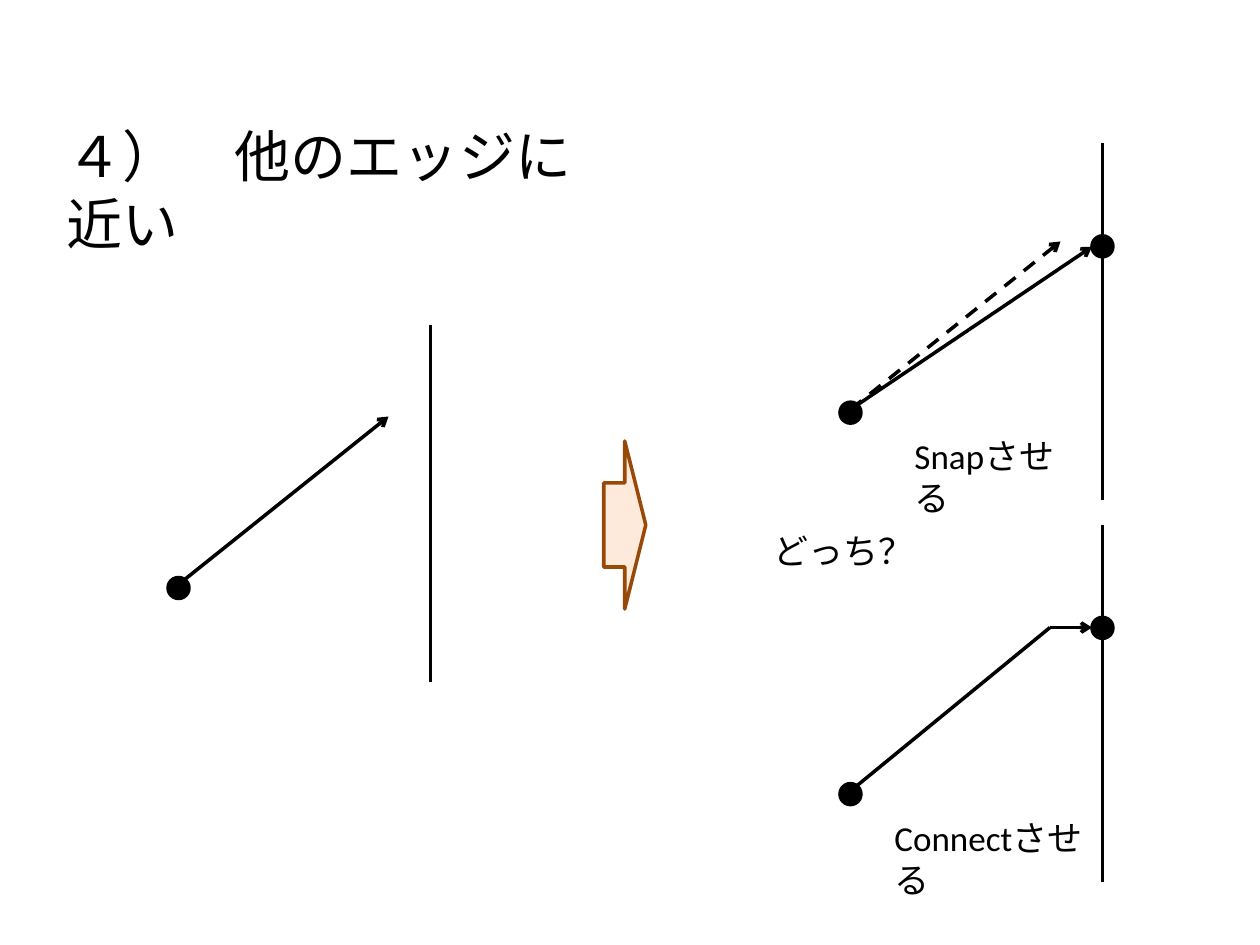
from lxml import etree
from pptx import Presentation
from pptx.dml.color import RGBColor
from pptx.enum.dml import MSO_LINE
from pptx.enum.shapes import MSO_CONNECTOR, MSO_SHAPE
from pptx.enum.text import MSO_ANCHOR, MSO_AUTO_SIZE, PP_ALIGN
from pptx.oxml.ns import qn
from pptx.util import Pt

BLACK = RGBColor(0x00, 0x00, 0x00)
PEACH = RGBColor(0xFD, 0xEA, 0xDA)
BROWN = RGBColor(0x98, 0x48, 0x07)
OVAL = MSO_SHAPE.OVAL
ARROW = MSO_SHAPE.RIGHT_ARROW
DASH = MSO_LINE.DASH
STRAIGHT = MSO_CONNECTOR.STRAIGHT
TOP = MSO_ANCHOR.TOP
FIXED = MSO_AUTO_SIZE.NONE
LEFT = PP_ALIGN.LEFT

FONT = "Calibri"
STROKE = 2
DOT = 12
EDGE = 204  # length of each upright edge
STEP = 218  # drop from the snap case to the connect case


class Board:
    """Holds the style and the current slide."""

    def __init__(self, slide):
        self.shapes = slide.shapes

    def letter(self, shape, text, size):
        """Put styled text into a shape."""
        frame = shape.text_frame
        frame.text = text
        frame.word_wrap = True
        frame.auto_size = FIXED
        frame.vertical_anchor = TOP
        para = frame.paragraphs[0]
        para.alignment = LEFT
        para.font.name = FONT
        para.font.size = Pt(size)
        para.font.color.rgb = BLACK

    def title(self, text, x, y, w, h):
        shape = self.shapes.title
        shape.left, shape.top, shape.width, shape.height = map(Pt, (x, y, w, h))
        self.letter(shape, text, 32)

    def label(self, text, x, y, w):
        box = self.shapes.add_textbox(Pt(x), Pt(y), Pt(w), Pt(31.5))
        self.letter(box, text, 20)

    def shape(self, kind, x, y, w, h, fill, line):
        shape = self.shapes.add_shape(kind, Pt(x), Pt(y), Pt(w), Pt(h))
        shape.shadow.inherit = False
        shape.fill.solid()
        shape.fill.fore_color.rgb = fill
        shape.line.color.rgb = line
        shape.line.width = Pt(STROKE)

    def dot(self, x, y):
        """Draw a node centred on x, y."""
        self.shape(OVAL, x - DOT / 2, y - DOT / 2, DOT, DOT, BLACK, BLACK)

    def line(self, start, end, head=False, dash=None):
        link = self.shapes.add_connector(STRAIGHT, *map(Pt, (*start, *end)))
        link.line.color.rgb = BLACK
        link.line.width = Pt(STROKE)
        if dash:
            link.line.dash_style = dash
        props = link._element.spPr
        if head:
            stroke = props.find(qn("a:ln"))
            etree.SubElement(stroke, qn("a:tailEnd"), type="arrow")
        etree.SubElement(props, qn("a:effectLst"))

    def edge(self, x, y):
        self.line((x, y), (x, y + EDGE))


def main():
    deck = Presentation()
    deck.slide_width, deck.slide_height = Pt(720), Pt(540)
    board = Board(deck.slides.add_slide(deck.slide_layouts[5]))

    board.title("４）　他のエッジに近い", 31, 66, 314, 46)

    # Before: an arrow that stops short of the edge
    board.dot(102, 336)
    board.line((102, 334), (222, 238), head=True)
    board.edge(246, 186)

    board.shape(ARROW, 345, 252, 24, 96, PEACH, BROWN)
    board.label("どっち？", 435, 299, 86.4)

    # After: the same edge and nodes, once for each choice
    choices = (("Snapさせる", 515.5, 108), ("Connectさせる", 504, 135.4))
    for row, (text, x, width) in enumerate(choices):
        drop = row * STEP
        board.edge(630, 82 + drop)
        board.dot(486, 235.8 + drop)
        board.dot(630, 140.8 + drop)
        board.label(text, x, 244.8 + drop, width)

    tail = (486, 234)
    board.line(tail, (606, 138), head=True, dash=DASH)
    board.line(tail, (624, 141), head=True)

    bend = (600, 358.6)
    board.line((486, 234 + STEP), bend)
    board.line(bend, (624, 358.6), head=True)

    deck.save("out.pptx")


if __name__ == "__main__":
    main()
